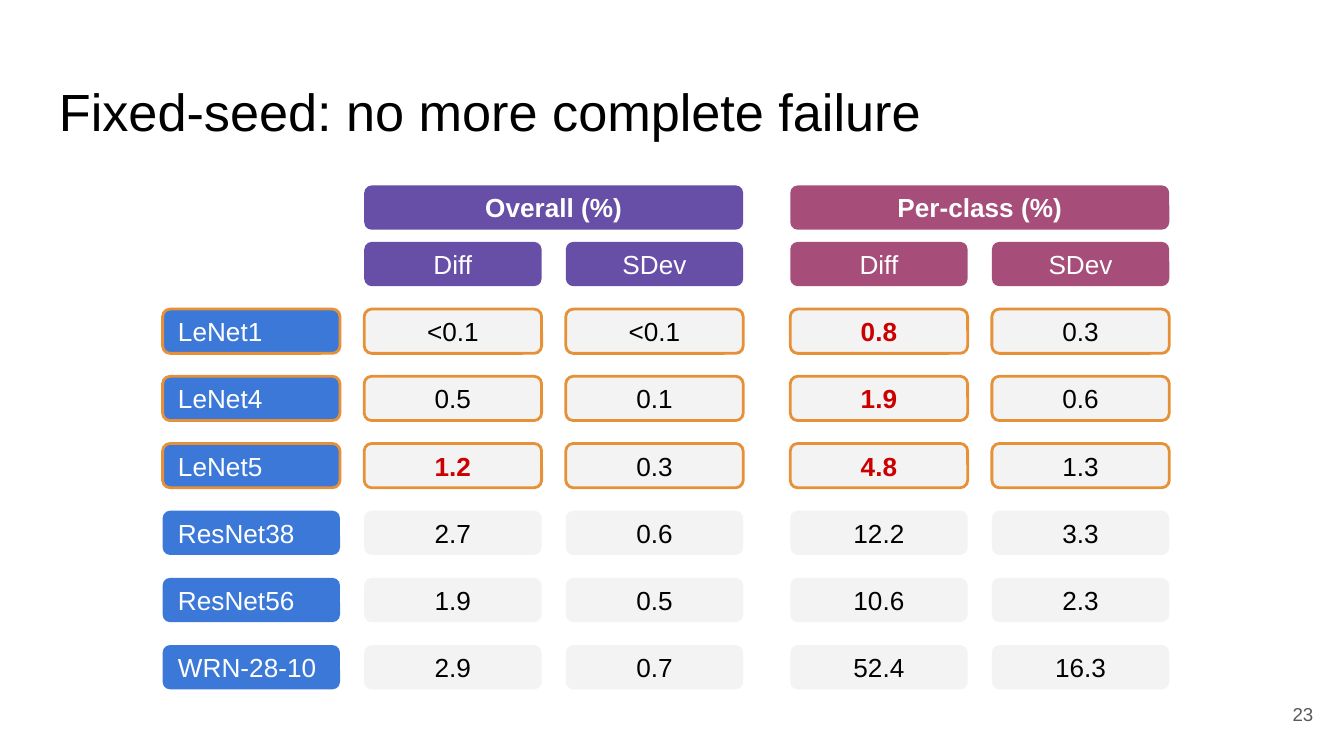
"""Build a slide comparing fixed-seed variance across six networks."""
import pptx
import pptx.dml.color
import pptx.enum.shapes
import pptx.enum.text
import pptx.util

Inches = pptx.util.Inches
Align = pptx.enum.text.PP_ALIGN
Anchor = pptx.enum.text.MSO_ANCHOR


def rgb(value):
    return pptx.dml.color.RGBColor.from_string(value)


def write(shape, text, color, size=14, bold=False, align=Align.CENTER, anchor=Anchor.MIDDLE):
    frame = shape.text_frame
    frame_format = {"word_wrap": True, "vertical_anchor": anchor}
    for side in ("left", "right", "top", "bottom"):
        frame_format["margin_" + side] = Inches(0.1)
    for name, value in frame_format.items():
        setattr(frame, name, value)
    para = frame.paragraphs[0]
    para.alignment = align
    span = para.add_run()
    span.text = text
    font_format = {"name": "Arial", "size": pptx.util.Pt(size), "bold": bold}
    for name, value in font_format.items():
        setattr(span.font, name, value)
    span.font.color.rgb = rgb(color)


deck = pptx.Presentation()
deck.slide_width, deck.slide_height = Inches(10), Inches(10 * 9 / 16)
page = deck.slides.add_slide(deck.slide_layouts[6])

title = page.shapes.add_textbox(Inches(0.34), Inches(0.49), Inches(9.32), Inches(0.63))
write(title, "Fixed-seed: no more complete failure", "000000", size=28,
      align=Align.LEFT, anchor=Anchor.TOP)

cell_width, cell_height, column_step, row_step = 1.32, 0.33, 1.5, 0.5
label_left, first_row_top = 1.21, 2.3
groups = [("Overall (%)", 2.71, "674EA7"), ("Per-class (%)", 5.88, "A64D79")]
value_lefts = [left + i * column_step for _, left, _ in groups for i in range(2)]
results = [
    ("LeNet1", "<0.1", "<0.1", "0.8", "0.3"),
    ("LeNet4", "0.5", "0.1", "1.9", "0.6"),
    ("LeNet5", "1.2", "0.3", "4.8", "1.3"),
    ("ResNet38", "2.7", "0.6", "12.2", "3.3"),
    ("ResNet56", "1.9", "0.5", "10.6", "2.3"),
    ("WRN-28-10", "2.9", "0.7", "52.4", "16.3"),
]
outlined_rows = 3
red_cells = {(0, 2), (1, 2), (2, 0), (2, 2)}

cells = []
for heading, left, fill in groups:
    cells.append((heading, left, 1.38, column_step + cell_width, fill, False,
                  {"color": "FFFFFF", "bold": True}))
    for i, measure in enumerate(("Diff", "SDev")):
        cells.append((measure, left + i * column_step, 1.8, cell_width, fill, False,
                      {"color": "FFFFFF"}))
for row, (network, *values) in enumerate(results):
    top = first_row_top + row * row_step
    outlined = row < outlined_rows
    cells.append((network, label_left, top, cell_width, "3C78D8", outlined,
                  {"color": "FFFFFF", "align": Align.LEFT}))
    for column, (value, left) in enumerate(zip(values, value_lefts)):
        red = (row, column) in red_cells
        cells.append((value, left, top, cell_width, "F3F3F3", outlined,
                      {"color": "CC0000" if red else "000000", "bold": red}))

for text, left, top, width, fill, outlined, text_format in cells:
    box = page.shapes.add_shape(
        pptx.enum.shapes.MSO_SHAPE.ROUNDED_RECTANGLE,
        Inches(left), Inches(top), Inches(width), Inches(cell_height))
    box.shadow.inherit = False
    box.adjustments[0] = 0.17
    box.fill.solid()
    box.fill.fore_color.rgb = rgb(fill)
    if outlined:
        box.line.color.rgb = rgb("E69138")
        box.line.width = pptx.util.Pt(1.5)
    else:
        box.line.fill.background()
    write(box, text, **text_format)

number = page.shapes.add_textbox(Inches(9.27), Inches(5.1), Inches(0.6), Inches(0.43))
write(number, "23", "595959", size=10, align=Align.RIGHT)

deck.save("out.pptx")
